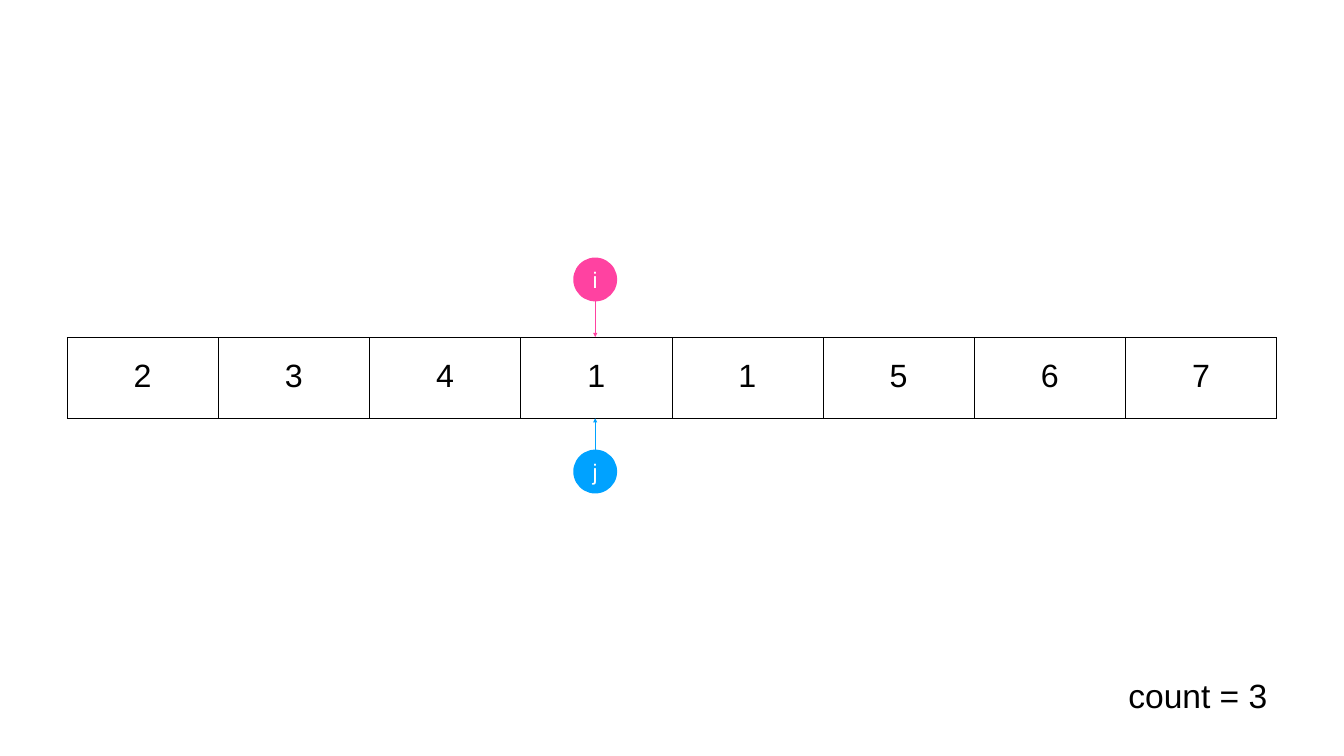
"""Build a slide showing an array with two index pointers and a counter."""
from dataclasses import dataclass

import lxml.etree
import pptx
import pptx.dml.color
import pptx.enum.shapes
import pptx.enum.text
import pptx.oxml
import pptx.oxml.ns
import pptx.presentation
import pptx.shapes.base
import pptx.slide
import pptx.table
import pptx.text.text
import pptx.util

Cm = pptx.util.Cm
Pt = pptx.util.Pt
RGBColor = pptx.dml.color.RGBColor
Align = pptx.enum.text.PP_ALIGN
Anchor = pptx.enum.text.MSO_ANCHOR

BLACK = RGBColor(0x00, 0x00, 0x00)
WHITE = RGBColor(0xFF, 0xFF, 0xFF)
PINK = RGBColor(0xFF, 0x42, 0xA1)
BLUE = RGBColor(0x00, 0xA2, 0xFF)

FONT = "Arial"
INSET = Cm(0.15)
VALUES = ("2", "3", "4", "1", "1", "5", "6", "7")
TABLE_LEFT, TABLE_TOP = Cm(3.38), Cm(17.02)
CELL_WIDTH, CELL_HEIGHT = Cm(7.62), Cm(4.06)
POINTER_X = Cm(30)
DIAMETER = Cm(2.21)


@dataclass(frozen=True)
class Pointer:
    """A labelled circle with an arrow to the array."""

    label: str
    color: RGBColor
    circle_top: pptx.util.Length
    arrow_start: pptx.util.Length
    arrow_end: pptx.util.Length


POINTERS = (
    Pointer("i", PINK, Cm(12.98), Cm(15.16), Cm(16.99)),
    Pointer("j", BLUE, Cm(22.66), Cm(22.89), Cm(21.08)),
)


def format_text(frame: pptx.text.text.TextFrame, size: int, color: RGBColor,
                alignment: Align) -> None:
    """Format the only paragraph of a text frame."""
    paragraph = frame.paragraphs[0]
    paragraph.alignment = alignment
    for run in paragraph.runs:
        run.font.name = FONT
        run.font.size = Pt(size)
        run.font.color.rgb = color


def set_insets(target: pptx.text.text.TextFrame | pptx.table._Cell) -> None:
    """Give a text frame or a cell equal margins on all sides."""
    target.margin_left = target.margin_right = INSET
    target.margin_top = target.margin_bottom = INSET


def space_paragraph(frame: pptx.text.text.TextFrame) -> None:
    """Apply the spacing shared by the array values and the counter."""
    frame.paragraphs[0].line_spacing = 0.9
    frame.paragraphs[0].space_before = Pt(45)


def add_borders(cell: pptx.table._Cell) -> None:
    """Draw a thin black line around a cell."""
    properties = cell._tc.get_or_add_tcPr()
    for index, side in enumerate(("lnL", "lnR", "lnT", "lnB")):
        border = pptx.oxml.parse_xml(
            f'<a:{side} {pptx.oxml.ns.nsdecls("a")} w="{Pt(1)}"><a:solidFill>'
            f'<a:srgbClr val="{BLACK}"/></a:solidFill></a:{side}>')
        properties.insert(index, border)


def add_array(slide: pptx.slide.Slide) -> None:
    """Add the array as a table with one row."""
    table = slide.shapes.add_table(
        1, len(VALUES), TABLE_LEFT, TABLE_TOP,
        CELL_WIDTH * len(VALUES), CELL_HEIGHT).table
    table.first_row = table.horz_banding = False
    for column, value in enumerate(VALUES):
        table.columns[column].width = CELL_WIDTH
        cell = table.cell(0, column)
        cell.fill.background()
        cell.vertical_anchor = Anchor.MIDDLE
        set_insets(cell)
        cell.text_frame.text = value
        format_text(cell.text_frame, 46, BLACK, Align.CENTER)
        space_paragraph(cell.text_frame)
        add_borders(cell)


def add_pointer(slide: pptx.slide.Slide, pointer: Pointer) -> None:
    """Add a pointer circle and its arrow."""
    circle = slide.shapes.add_shape(
        pptx.enum.shapes.MSO_SHAPE.OVAL, POINTER_X - DIAMETER // 2,
        pointer.circle_top, DIAMETER, DIAMETER)
    circle.shadow.inherit = False
    circle.fill.solid()
    circle.fill.fore_color.rgb = pointer.color
    circle.line.fill.background()
    frame = circle.text_frame
    set_insets(frame)
    frame.vertical_anchor = Anchor.MIDDLE
    frame.text = pointer.label
    format_text(frame, 32, WHITE, Align.CENTER)

    arrow = slide.shapes.add_connector(
        pptx.enum.shapes.MSO_CONNECTOR.STRAIGHT,
        POINTER_X, pointer.arrow_start, POINTER_X, pointer.arrow_end)
    arrow.line.color.rgb = pointer.color
    arrow.line.width = Pt(2)
    qn = pptx.oxml.ns.qn
    lxml.etree.SubElement(
        arrow.line._get_or_add_ln(), qn("a:tailEnd"), type="triangle")
    lxml.etree.SubElement(arrow._element.spPr, qn("a:effectLst"))


def add_counter(slide: pptx.slide.Slide) -> None:
    """Add the counter text."""
    frame = slide.shapes.add_textbox(
        Cm(56.72), Cm(33.91), Cm(7.95), Cm(2.46)).text_frame
    frame.word_wrap = False
    frame.auto_size = pptx.enum.text.MSO_AUTO_SIZE.SHAPE_TO_FIT_TEXT
    frame.vertical_anchor = Anchor.MIDDLE
    set_insets(frame)
    frame.text = "count = 3"
    format_text(frame, 48, BLACK, Align.LEFT)
    space_paragraph(frame)


def main() -> None:
    """Build and save the presentation."""
    presentation = pptx.Presentation()
    presentation.slide_width = Cm(67.74)
    presentation.slide_height = Cm(38.1)
    slide = presentation.slides.add_slide(presentation.slide_layouts[6])
    add_array(slide)
    add_counter(slide)
    for pointer in POINTERS:
        add_pointer(slide, pointer)
    presentation.save("out.pptx")


if __name__ == "__main__":
    main()
